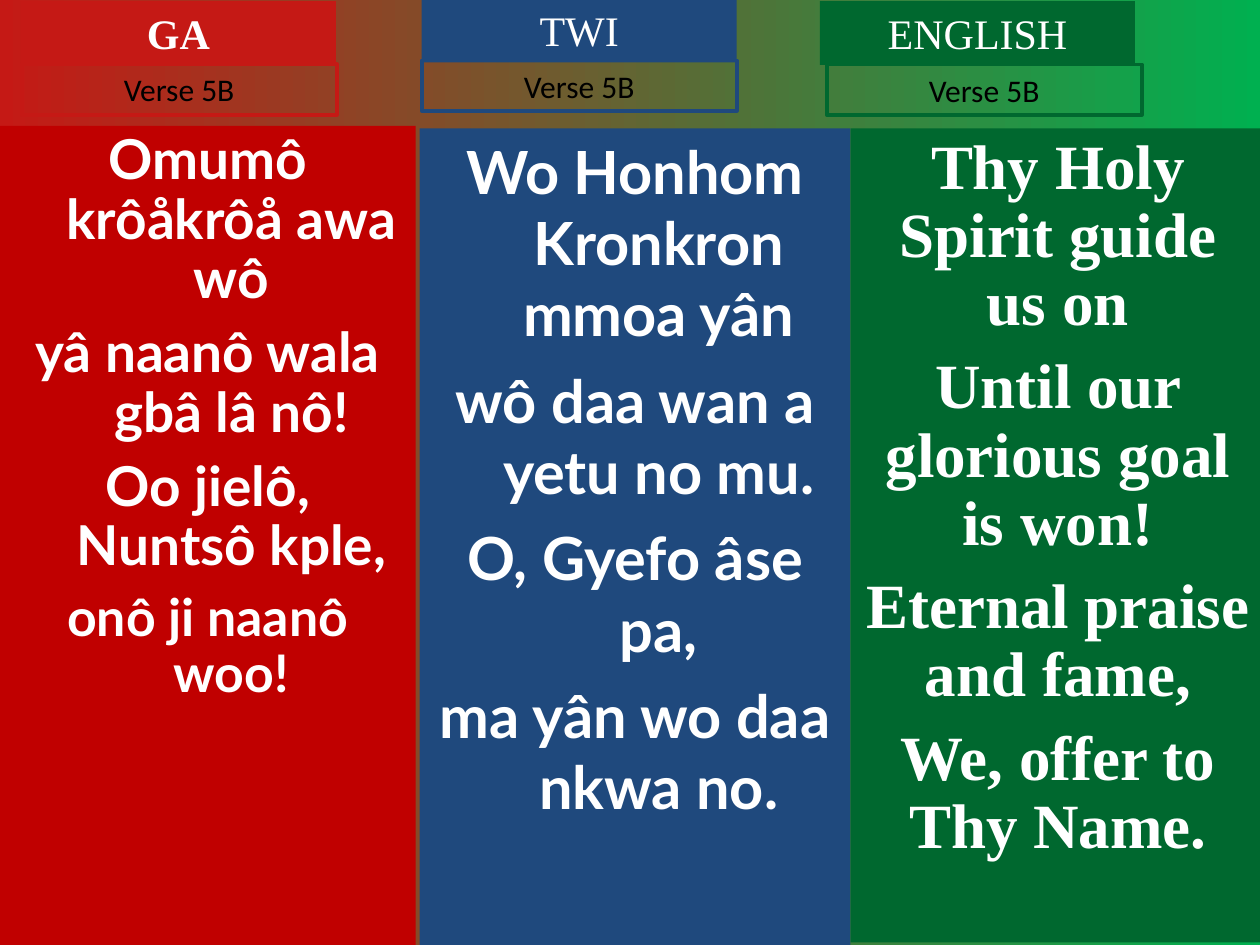
from dataclasses import dataclass

import pptx
import pptx.dml.color
import pptx.enum.shapes
import pptx.enum.text
import pptx.util

Pt = pptx.util.Pt


def rgb(value):
    return pptx.dml.color.RGBColor.from_string(value)


@dataclass(frozen=True)
class Theme:
    background: tuple = ("C51915", "00B050")
    white: str = "FFFFFF"
    black: str = "000000"
    heading_font: str = "Times New Roman"
    verse_font: str = "Calibri"
    heading_size: float = 24
    verse_size: float = 18
    outline: float = 2.25


THEME = Theme()


@dataclass(frozen=True)
class Language:
    name: str
    bold_name: bool
    heading_box: tuple
    verse_box: tuple
    lyrics_box: tuple
    heading_color: str
    panel_color: str
    font: str
    sizes: tuple
    line_spacing: float
    space_before: tuple
    hanging: float
    lines: tuple


LANGUAGES = (
    Language("GA", True, (12, 0.7, 180, 36.4), (12.4, 36.7, 180, 28.8),
             (0, 72, 237.6, 468), "C51915", "C00000", "Lato",
             (31.4, 31.4, 31.4, 29.6), 0.9, (0, 8.5, 8.5, 8), 27,
             ("Omumô krôåkrôå awa wô", "yâ naanô wala gbâ lâ nô!",
              "Oo jielô, Nuntsô kple,", "onô ji naanô woo!")),
    Language("TWI", False, (241, -0.7, 180, 36.4), (241, 34.6, 180, 28.8),
             (239.8, 73.4, 246.2, 466.6), "1F497D", "1F497D", "Lato",
             (34,) * 4, 1.0, (0, 8.5, 8.5, 8.5), 27,
             ("Wo Honhom Kronkron mmoa yân", "wô daa wan a yetu no mu.",
              "O, Gyefo âse pa,", "ma yân wo daa nkwa no.")),
    Language("ENGLISH", False, (468.6, 0.7, 180, 36.4), (472.4, 36.9, 180, 28.8),
             (486, 73.4, 237, 465.1), "00682F", "00682F", "Times New Roman",
             (36,) * 4, 0.9, (0, 9, 9, 9), 0,
             ("Thy Holy Spirit guide us on", "Until our glorious goal is won!",
              "Eternal praise and fame,", "We, offer to Thy Name.")),
)


def add_box(slide, box, fill=None, outline=None):
    shape = slide.shapes.add_shape(
        pptx.enum.shapes.MSO_SHAPE.RECTANGLE, *(Pt(length) for length in box))
    shape.shadow.inherit = False
    if fill:
        shape.fill.solid()
        shape.fill.fore_color.rgb = rgb(fill)
    else:
        shape.fill.background()
    if outline:
        shape.line.color.rgb = rgb(outline)
        shape.line.width = Pt(THEME.outline)
    else:
        shape.line.fill.background()
    frame = shape.text_frame
    frame.word_wrap = True
    frame.vertical_anchor = pptx.enum.text.MSO_ANCHOR.TOP
    return frame


def write_paragraph(paragraph, text, font, size, color, bold=False):
    paragraph.text = text
    paragraph.alignment = pptx.enum.text.PP_ALIGN.CENTER
    paragraph.font.name = font
    paragraph.font.size = Pt(size)
    paragraph.font.bold = bold
    paragraph.font.color.rgb = rgb(color)


def add_lyrics(slide, box, language):
    frame = add_box(slide, box, fill=language.panel_color)
    for index, line in enumerate(language.lines):
        paragraph = frame.add_paragraph() if index else frame.paragraphs[0]
        if language.hanging:
            properties = paragraph._p.get_or_add_pPr()
            properties.set("marL", str(Pt(language.hanging)))
            properties.set("indent", str(-Pt(language.hanging)))
        write_paragraph(paragraph, line, language.font, language.sizes[index],
                        THEME.white, bold=True)
        paragraph.line_spacing = language.line_spacing
        paragraph.space_before = Pt(language.space_before[index])


def add_heading(slide, box, language):
    frame = add_box(slide, box, fill=language.heading_color)
    write_paragraph(frame.paragraphs[0], language.name, THEME.heading_font,
                    THEME.heading_size, THEME.white, language.bold_name)


def add_verse_label(slide, box, language):
    frame = add_box(slide, box, outline=language.heading_color)
    write_paragraph(frame.paragraphs[0], "Verse 5B", THEME.verse_font,
                    THEME.verse_size, THEME.black)


def paint_background(slide):
    fill = slide.background.fill
    fill.gradient()
    fill.gradient_angle = 0
    for stop, color in zip(fill.gradient_stops, THEME.background):
        stop.color.rgb = rgb(color)


def main():
    presentation = pptx.Presentation()
    presentation.slide_width, presentation.slide_height = Pt(720), Pt(540)
    slide = presentation.slides.add_slide(presentation.slide_layouts[6])
    paint_background(slide)
    for language in LANGUAGES:
        add_lyrics(slide, language.lyrics_box, language)
        add_heading(slide, language.heading_box, language)
        add_verse_label(slide, language.verse_box, language)
    presentation.save("out.pptx")


if __name__ == "__main__":
    main()
